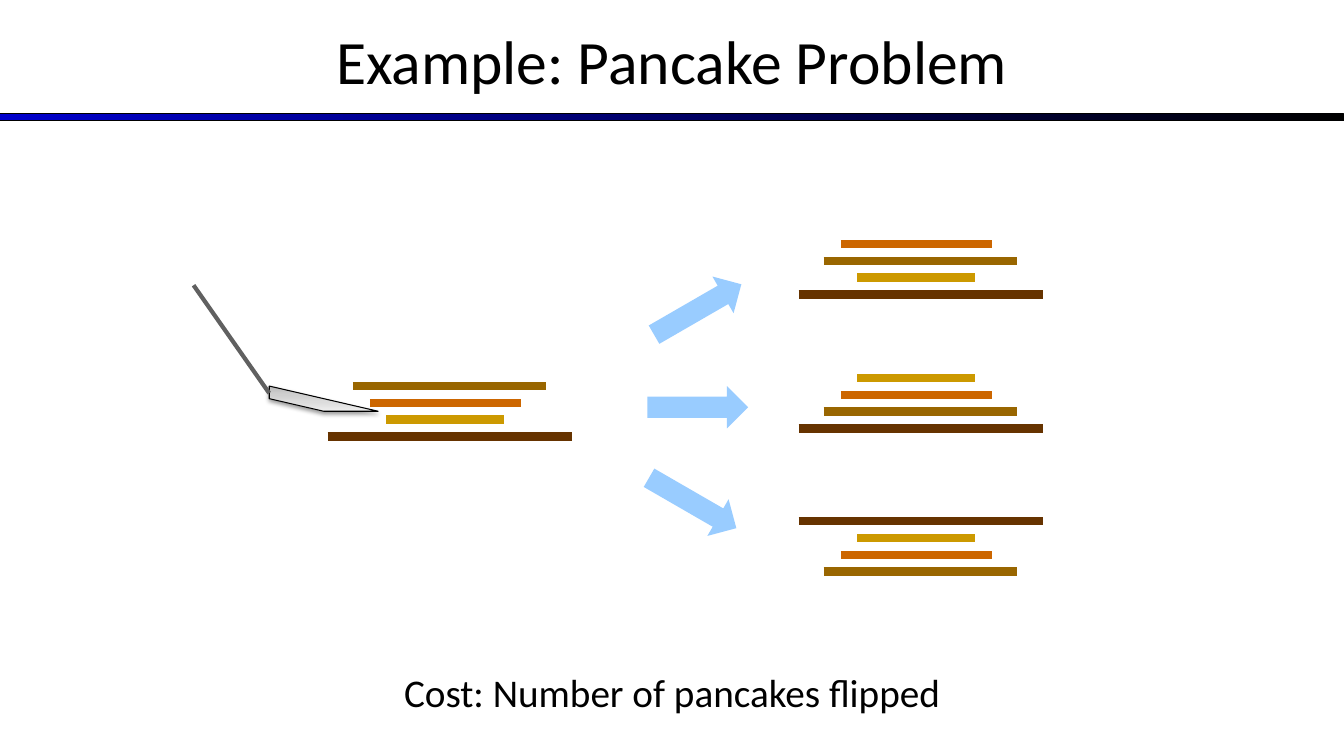
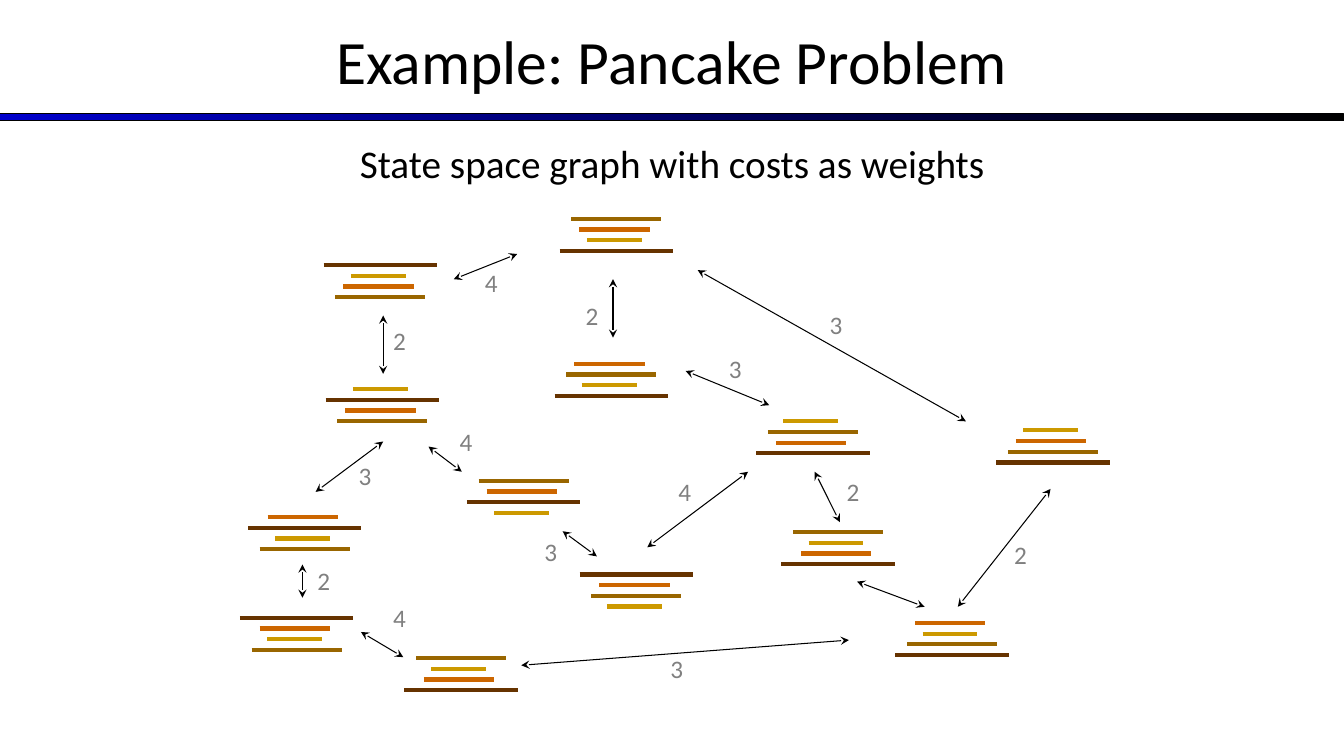
from lxml.etree import SubElement
from pptx import Presentation
from pptx.dml.color import RGBColor
from pptx.enum.shapes import MSO_CONNECTOR, MSO_SHAPE
from pptx.enum.text import MSO_ANCHOR, PP_ALIGN
from pptx.oxml import parse_xml
from pptx.oxml.ns import nsdecls, qn
from pptx.util import Pt

PX = 9144
SLIDE_W, SLIDE_H = 1333, 750
FONT = "Calibri"
COLORS = {
    "text": "000000", "cost": "808080", "edge": "000000", "outline": "000000",
    "flip": "99CCFF", "handle": "606060",
    "small": "CC9900", "medium": "CC6600", "wide": "996600", "big": "663300",
}
BAND_STOPS = [(0, "0000CC"), (100, "000000")]
BLADE_STOPS = [(0, "BABABA"), (35, "CFCFCF"), (100, "EDEDED")]

PANCAKES = {
    "S": ("small", 58, 117),
    "M": ("medium", 42, 150),
    "W": ("wide", 25, 192),
    "B": ("big", 0, 242),
}

TITLE = "Example: Pancake Problem"
COST_NOTE = "Cost: Number of pancakes flipped"
GRAPH_NOTE = "State space graph with costs as weights"

START_STACK = ("WMSB", 325, 383)
RESULT_STACKS = [("MWSB", 792, 242), ("SMWB", 792, 375), ("BSMW", 792, 517)]
FLIP_ARROWS = [(642, 286, -30), (642, 383, 0), (637, 478, 30)]

STATES = [
    ("BSMW", 321, 263), ("SBMW", 323, 386), ("WMSB", 555, 217),
    ("MBSW", 246, 513), ("WMBS", 463, 477), ("SMWB", 988, 427),
    ("MWSB", 550, 361), ("BMWS", 575, 570), ("BMSW", 238, 613),
    ("WSMB", 401, 653), ("SWMB", 750, 418), ("MSWB", 888, 618),
    ("WSMB", 775, 528),
]
EDGES = [
    ((513, 252), (450, 277)), ((380, 371), (380, 313)),
    ((313, 488), (380, 438)), ((458, 468), (425, 443)),
    ((300, 593), (300, 560)), ((400, 652), (358, 627)),
    ((842, 635), (517, 660)), ((592, 552), (558, 527)),
    ((742, 468), (642, 543)), ((680, 368), (763, 402)),
    ((608, 277), (608, 335)), ((958, 418), (692, 268)),
    ((808, 468), (833, 518)), ((850, 577), (917, 602)),
    ((950, 602), (1042, 485)),
]
COSTS = [
    ("3", 813, 302), ("2", 996, 530), ("4", 663, 468), ("3", 713, 346),
    ("3", 655, 643), ("2", 830, 468), ("2", 305, 556), ("2", 380, 318),
    ("4", 471, 260), ("3", 346, 452), ("4", 446, 418), ("3", 530, 527),
    ("4", 380, 593), ("2", 571, 293),
]


def emu(*lengths):
    return [round(length * PX) for length in lengths]


def rgb(name):
    return RGBColor.from_string(COLORS[name])


def add_text(slide, text, box, size, color="text", align=PP_ALIGN.CENTER,
             anchor=MSO_ANCHOR.TOP, wrap=True):
    frame = slide.shapes.add_textbox(*emu(*box)).text_frame
    frame.word_wrap = wrap
    frame.vertical_anchor = anchor
    paragraph = frame.paragraphs[0]
    paragraph.alignment = align
    run = paragraph.add_run()
    run.text = text
    run.font.name = FONT
    run.font.size = Pt(size)
    run.font.color.rgb = rgb(color)


def add_line(slide, start, end, color, width, arrows=False):
    line = slide.shapes.add_connector(MSO_CONNECTOR.STRAIGHT, *emu(*start, *end))
    line.line.color.rgb = rgb(color)
    line.line.width = Pt(width)
    if arrows:
        for tip in ("a:headEnd", "a:tailEnd"):
            SubElement(line.line._get_or_add_ln(), qn(tip), type="stealth")
    SubElement(line._element.spPr, qn("a:effectLst"))


def add_gradient_shape(slide, preset, box, stops, angle):
    shape = slide.shapes.add_shape(preset, *emu(*box))
    stop_xml = "".join(
        f'<a:gs pos="{at * 1000}"><a:srgbClr val="{color}"/></a:gs>' for at, color in stops)
    shape._element.spPr.find(qn("a:prstGeom")).addnext(parse_xml(
        f'<a:gradFill rotWithShape="1" {nsdecls("a")}><a:gsLst>{stop_xml}</a:gsLst>'
        f'<a:lin ang="{angle * 60000}" scaled="0"/></a:gradFill>'))
    shape.line.color.rgb = rgb("outline")
    shape.line.width = Pt(0.75)
    shape.shadow.inherit = False
    return shape


def add_stack(slide, order, left, top, scale=1.0, gap=16.67, thickness=6):
    for row, key in enumerate(order):
        color, inset, width = PANCAKES[key]
        x, y = left + inset * scale, top + row * gap
        add_line(slide, (x, y), (x + width * scale, y), color, thickness)


def add_spatula(slide):
    blade = add_gradient_shape(slide, MSO_SHAPE.DIAGONAL_STRIPE, (267, 383, 108, 25),
                               BLADE_STOPS, 270)
    blade.rotation = 180
    blade._element.spPr.find(qn("a:xfrm")).set("flipH", "1")
    blade._element.spPr.find(qn("a:effectLst")).append(parse_xml(
        f'<a:outerShdw blurRad="{Pt(3.1)}" dist="{Pt(1.6)}" dir="5400000" rotWithShape="0" '
        f'{nsdecls("a")}><a:srgbClr val="000000"><a:alpha val="38000"/></a:srgbClr>'
        '</a:outerShdw>'))
    add_line(slide, (267, 390), (192, 283), "handle", 3)


def add_flip_arrow(slide, left, top, angle):
    arrow = slide.shapes.add_shape(MSO_SHAPE.RIGHT_ARROW, *emu(left, top, 100, 42))
    arrow.rotation = angle
    arrow.fill.solid()
    arrow.fill.fore_color.rgb = rgb("flip")
    arrow.line.fill.background()
    arrow.shadow.inherit = False


def new_slide(deck, note, note_top):
    slide = deck.slides.add_slide(deck.slide_layouts[6])
    add_gradient_shape(slide, MSO_SHAPE.RECTANGLE, (0, 113, SLIDE_W, 7), BAND_STOPS, 0)
    add_text(slide, TITLE, (0, -3, SLIDE_W, 125), 44, anchor=MSO_ANCHOR.MIDDLE)
    add_text(slide, note, (0, note_top, SLIDE_W, 57), 28)
    return slide


def build_flips(deck):
    slide = new_slide(deck, COST_NOTE, 658)
    add_stack(slide, *START_STACK)
    add_spatula(slide)
    for stack in RESULT_STACKS:
        add_stack(slide, *stack)
    for arrow in FLIP_ARROWS:
        add_flip_arrow(slide, *arrow)


def build_graph(deck):
    slide = new_slide(deck, GRAPH_NOTE, 133)
    for state in STATES:
        add_stack(slide, *state, scale=0.465, gap=10.6, thickness=3)
    for start, end in EDGES:
        add_line(slide, start, end, "edge", 0.75, arrows=True)
    for cost, left, top in COSTS:
        add_text(slide, cost, (left, top, 33, 40), 18, "cost", PP_ALIGN.LEFT, wrap=False)


def main():
    deck = Presentation()
    deck.slide_width, deck.slide_height = emu(SLIDE_W, SLIDE_H)
    build_flips(deck)
    build_graph(deck)
    deck.save("out.pptx")


if __name__ == "__main__":
    main()
